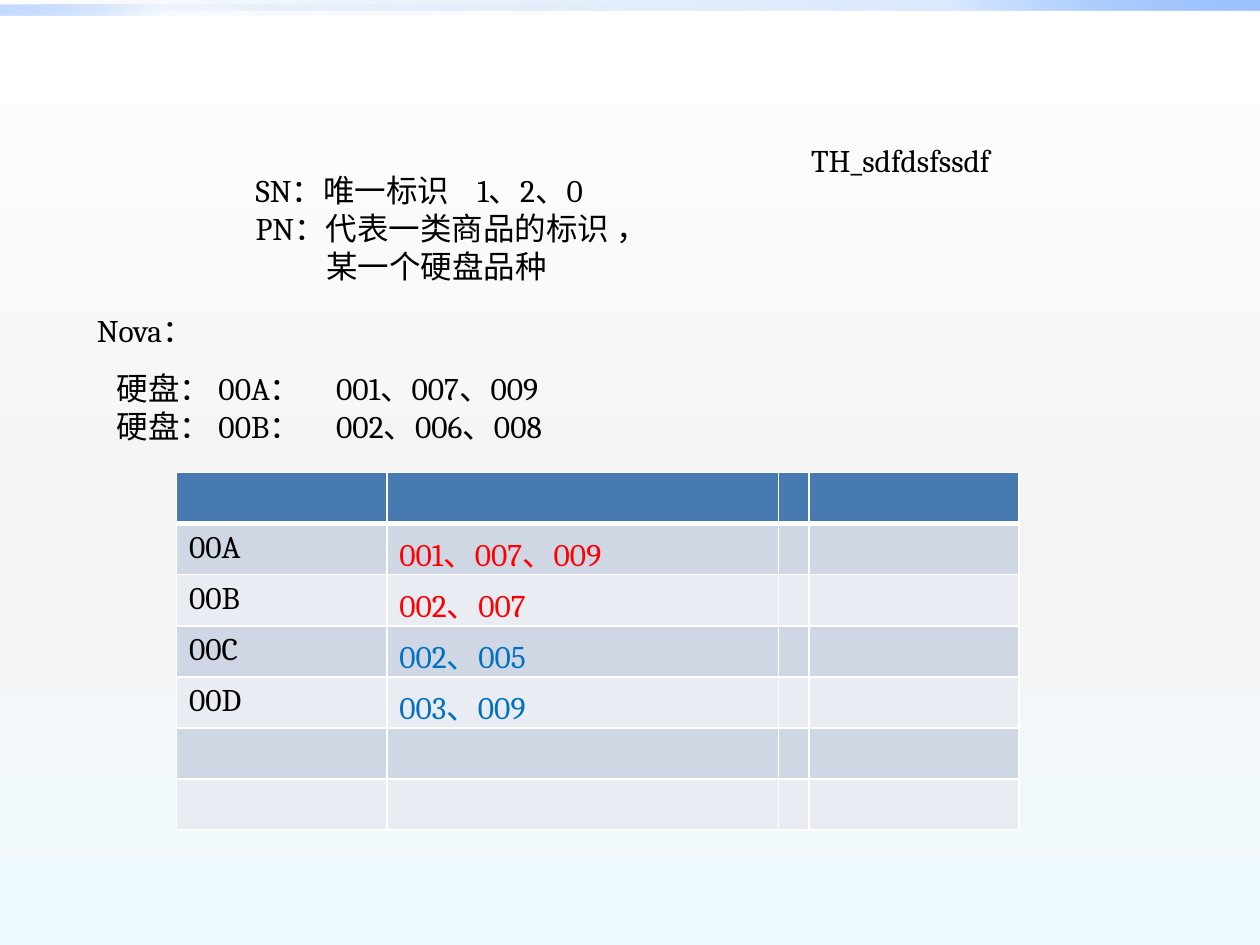
from dataclasses import dataclass

from lxml import etree
from pptx import Presentation
from pptx.dml.color import RGBColor
from pptx.enum import shapes, text
from pptx.oxml import ns
from pptx.util import Inches, Pt

FONT = "Cambria"
HUES = {
    "ink": "000000", "red": "FF0000", "blue": "0070C0", "white": "FFFFFF",
    "head": "477AB1", "odd": "CFD7E4", "even": "E9ECF2",
    "deep": "0058B7", "mid": "4F95FF", "pale": "9EC2FF",
    "grey": "F4F4F4", "ice": "EEF9FF",
}


@dataclass
class Stop:
    pos: int
    hue: str
    alpha: int = 100


@dataclass
class Bar:
    top: float
    width: float
    angle: int
    stops: list[Stop]


@dataclass
class Line:
    words: str
    indent: float = 0
    tab: float = 0


@dataclass
class Note:
    left: float
    top: float
    width: float
    height: float
    lines: list[Line]


@dataclass
class Row:
    code: str = ""
    disks: str = ""
    hue: str = "ink"


BARS = [
    Bar(0, 10, 315, [Stop(0, "deep", 0), Stop(75, "mid", 20), Stop(100, "pale")]),
    Bar(0.04, 5, 135, [Stop(0, "deep", 0), Stop(75, "mid", 5), Stop(100, "pale", 60)]),
]
NOTES = [
    Note(1.93, 1.31, 5.04, 1.01, [
        Line("SN：唯一标识\t1、2、0", tab=1.76),
        Line("PN：代表一类商品的标识 ，"),
        Line("某一个硬盘品种", indent=0.56),
    ]),
    Note(0.67, 2.42, 7.4, 0.4, [Line("Nova：")]),
    Note(0.83, 2.88, 5.67, 0.4, [Line("硬盘： 00A：\t001、007、009", tab=1.74)]),
    Note(0.83, 3.18, 5.67, 0.4, [Line("硬盘： 00B：\t002、006、008", tab=1.74)]),
    Note(6.34, 1.07, 1.73, 0.4, [Line("TH_sdfdsfssdf")]),
]
COLS = [1.67, 3.11, 0.23, 1.67]
ROWS = [
    Row(),
    Row("00A", "001、007、009", "red"),
    Row("00B", "002、007", "red"),
    Row("00C", "002、005", "blue"),
    Row("00D", "003、009", "blue"),
    Row(),
    Row(),
]


def rgb(hue: str) -> RGBColor:
    return RGBColor.from_string(HUES[hue])


def add_sub(root, tag: str, **attrs):
    return etree.SubElement(root, ns.qn(tag), {k: str(v) for k, v in attrs.items()})


def set_grad(owner, fill, angle: int, stops: list[Stop]) -> None:
    """Fill with any number of stops; the angle runs clockwise."""
    fill.gradient()
    fill.gradient_angle = 360 - angle
    group = owner.element.find(".//" + ns.qn("a:gsLst"))
    for old in list(group):
        group.remove(old)
    for stop in stops:
        node = add_sub(group, "a:gs", pos=stop.pos * 1000)
        color = add_sub(node, "a:srgbClr", val=HUES[stop.hue])
        if stop.alpha < 100:
            add_sub(color, "a:alpha", val=stop.alpha * 1000)


def add_bar(slide, bar: Bar) -> None:
    shape = slide.shapes.add_shape(
        shapes.MSO_SHAPE.RECTANGLE, 0, Inches(bar.top), Inches(bar.width), Inches(0.08))
    shape.shadow.inherit = False
    shape.line.fill.background()
    set_grad(shape, shape.fill, bar.angle, bar.stops)


def add_run(para, words: str, hue: str = "ink") -> None:
    run = para.add_run()
    run.text = words
    run.font.name = FONT
    run.font.size = Pt(18)
    run.font.color.rgb = rgb(hue)


def add_note(slide, note: Note) -> None:
    box = slide.shapes.add_textbox(
        Inches(note.left), Inches(note.top), Inches(note.width), Inches(note.height))
    frame = box.text_frame
    frame.word_wrap = True
    frame.auto_size = text.MSO_AUTO_SIZE.SHAPE_TO_FIT_TEXT
    for i, line in enumerate(note.lines):
        para = frame.add_paragraph() if i else frame.paragraphs[0]
        add_run(para, line.words)
        props = para._p.get_or_add_pPr()
        if line.indent:
            props.set("marL", str(Inches(line.indent)))
        if line.tab:
            tabs = add_sub(props, "a:tabLst")
            add_sub(tabs, "a:tab", pos=Inches(line.tab), algn="l")


def set_edges(cell, row: int) -> None:
    """Rule the cell in white, with a thick line below the header."""
    props = cell._tc.get_or_add_tcPr()
    wide = {"T": 3 if row == 1 else 1, "B": 3 if row == 0 else 1}
    for side in "LRTB":
        edge = add_sub(props, f"a:ln{side}", w=Pt(wide.get(side, 1)))
        add_sub(add_sub(edge, "a:solidFill"), "a:srgbClr", val=HUES["white"])


def add_grid(slide) -> None:
    high = 2.84 / len(ROWS)
    table = slide.shapes.add_table(
        len(ROWS), len(COLS), Inches(1.4), Inches(3.75), Inches(6.67), Inches(2.84)).table
    for col, width in zip(table.columns, COLS):
        col.width = Inches(width)
    for r, row in enumerate(ROWS):
        table.rows[r].height = Inches(high)
        back = "head" if r == 0 else "odd" if r % 2 else "even"
        for c in range(len(COLS)):
            cell = table.cell(r, c)
            set_edges(cell, r)
            cell.fill.solid()
            cell.fill.fore_color.rgb = rgb(back)
        for c, (words, hue) in enumerate([(row.code, "ink"), (row.disks, row.hue)]):
            if words:
                add_run(table.cell(r, c).text_frame.paragraphs[0], words, hue)


def main() -> None:
    deck = Presentation()
    deck.slide_width, deck.slide_height = Inches(10), Inches(7.5)
    slide = deck.slides.add_slide(deck.slide_layouts[6])
    set_grad(slide, slide.background.fill, 90,
             [Stop(0, "white"), Stop(55, "grey"), Stop(100, "ice")])
    for bar in BARS:
        add_bar(slide, bar)
    for note in NOTES:
        add_note(slide, note)
    add_grid(slide)
    deck.save("out.pptx")


if __name__ == "__main__":
    main()
